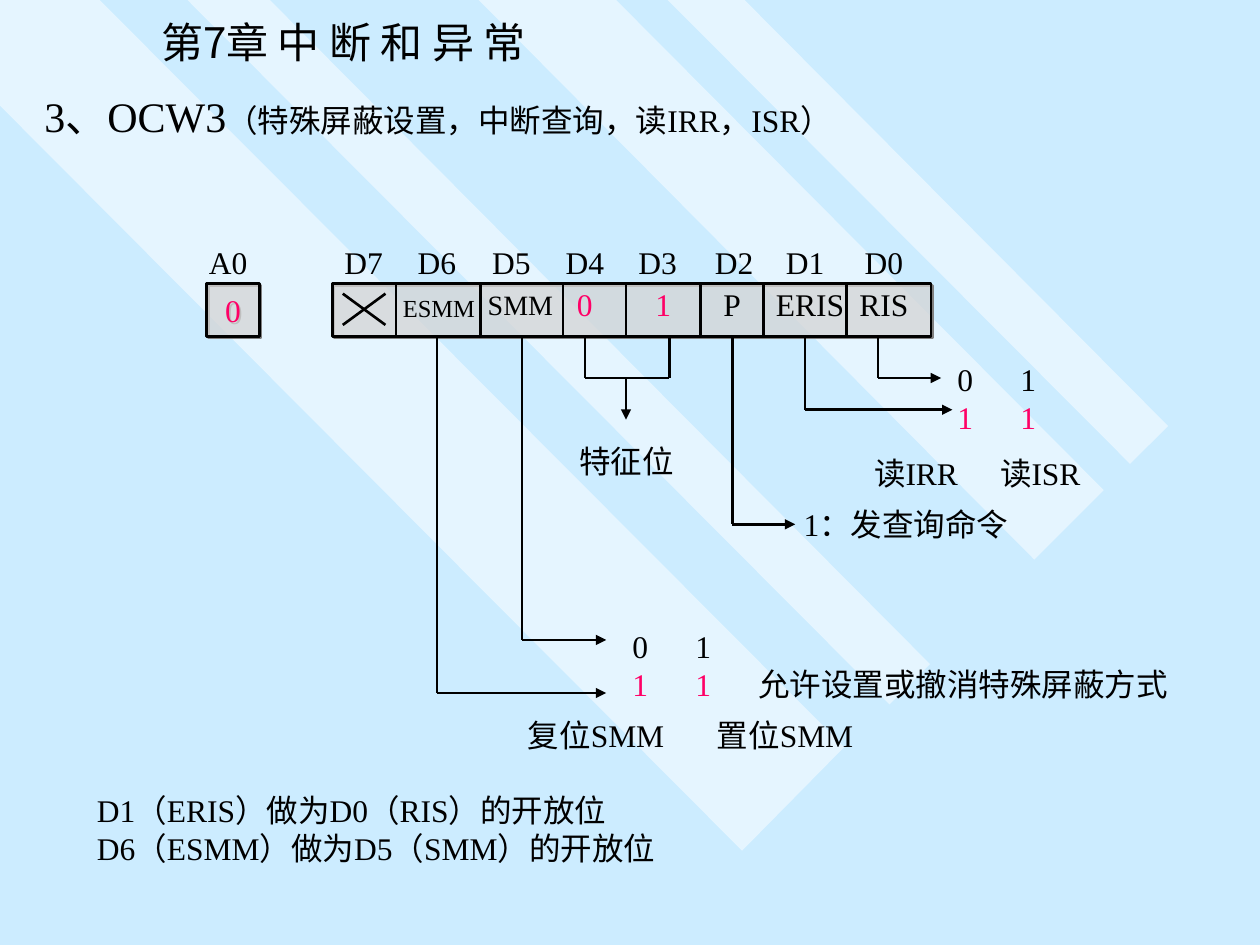
import dataclasses

import pptx
import pptx.dml.color
import pptx.enum.shapes
import pptx.enum.text
import pptx.oxml.ns
import pptx.util
from lxml import etree
from pptx.util import Cm


@dataclasses.dataclass(frozen=True)
class Theme:
    background: str = "CCECFF"
    white: str = "FFFFFF"
    ink: str = "000000"
    accent: str = "FF0066"
    shadow: str = "808080"
    latin: str = "Times New Roman"
    chinese: str = "Noto Sans CJK SC"
    heading: int = 24
    body: int = 18
    label: int = 16
    small: int = 14
    line: float = 1.5


theme = Theme()
color = pptx.dml.color.RGBColor.from_string
qn = pptx.oxml.ns.qn
LEFT = pptx.enum.text.PP_ALIGN.LEFT
CENTER = pptx.enum.text.PP_ALIGN.CENTER


def write(shape, lines, size=theme.body, align=LEFT, tabs=(), latin=theme.latin, wrap=True):
    frame = shape.text_frame
    frame.word_wrap = wrap
    frame.auto_size = pptx.enum.text.MSO_AUTO_SIZE.NONE
    frame.vertical_anchor = pptx.enum.text.MSO_ANCHOR.MIDDLE
    for index, (text, ink) in enumerate(lines):
        paragraph = frame.paragraphs[0] if index == 0 else frame.add_paragraph()
        paragraph.add_run().text = text
        paragraph.alignment = align
        paragraph.space_before = pptx.util.Pt(0)
        properties = paragraph._p.get_or_add_pPr()
        properties.set("marL", "0")
        properties.set("indent", "0")
        etree.SubElement(properties, qn("a:buNone"))
        if tabs:
            tab_list = etree.SubElement(properties, qn("a:tabLst"))
            for position in tabs:
                etree.SubElement(tab_list, qn("a:tab"), pos=str(Cm(position)), algn="l")
        paragraph.font.size = pptx.util.Pt(size)
        paragraph.font.color.rgb = color(ink)
        paragraph.font.name = latin
        etree.SubElement(paragraph.font._rPr, qn("a:ea"), typeface=theme.chinese)
    return frame


def draw_line(x1, y1, x2, y2, arrow=False):
    connector = slide.shapes.add_connector(
        pptx.enum.shapes.MSO_CONNECTOR.STRAIGHT, Cm(x1), Cm(y1), Cm(x2), Cm(y2))
    connector.line.color.rgb = color(theme.ink)
    connector.line.width = pptx.util.Pt(theme.line)
    if arrow:
        etree.SubElement(connector.line._get_or_add_ln(), qn("a:tailEnd"), type="triangle")
    etree.SubElement(connector._element.spPr, qn("a:effectLst"))


presentation = pptx.Presentation()
presentation.slide_width = Cm(25.4)
presentation.slide_height = Cm(19.05)
slide = presentation.slides.add_slide(presentation.slide_layouts[1])
slide.background.fill.solid()
slide.background.fill.fore_color.rgb = color(theme.background)

stripes = [
    [(17.02, 15.06), (2.01, 0), (0, 0), (0, 2.13), (14.96, 17.15)],
    [(5.44, 0), (18.75, 13.39), (17.93, 14.2), (3.78, 0)],
    [(12.42, 0), (22.25, 9.88), (20.85, 11.28), (9.65, 0)],
    [(13.46, 0), (22.78, 9.35), (23.55, 8.59), (15.01, 0)],
]
translucent = []
for index, points in enumerate(stripes):
    corners = [(Cm(x), Cm(y)) for x, y in points]
    builder = slide.shapes.build_freeform(*corners[0])
    builder.add_line_segments(corners[1:], close=True)
    stripe = builder.convert_to_shape()
    stripe.line.fill.background()
    stripe.shadow.inherit = False
    slide.shapes._spTree.insert(2 + index, stripe._element)
    translucent.append(stripe)

register_top, register_bottom = 5.72, 6.78
for left, width in [(4.17, 1.06), (6.7, 12.07)]:
    box = slide.shapes.add_shape(
        pptx.enum.shapes.MSO_SHAPE.RECTANGLE,
        Cm(left), Cm(register_top), Cm(width), Cm(register_bottom - register_top))
    box.line.color.rgb = color(theme.ink)
    box.line.width = pptx.util.Pt(theme.line)
    box.shadow.inherit = False
    effects = box._element.spPr.find(qn("a:effectLst"))
    shadow = etree.SubElement(effects, qn("a:outerShdw"), dist="17780", dir="2700000", algn="ctr")
    etree.SubElement(shadow, qn("a:srgbClr"), val=theme.shadow)
    translucent.append(box)
    if width < 2:
        write(box, [("0", theme.accent)], align=CENTER, wrap=False)

for shape in translucent:
    shape.fill.solid()
    shape.fill.fore_color.rgb = color(theme.white)
    fill_color = shape._element.spPr.find(qn("a:solidFill"))[0]
    etree.SubElement(fill_color, qn("a:alpha"), val="50000")

for x in [7.98, 9.68, 11.35, 12.62, 14.12, 15.39, 17.07]:
    draw_line(x, register_top, x, register_bottom)
draw_line(7.77, 5.92, 6.91, 6.55)
draw_line(6.91, 5.92, 7.77, 6.55)

bit_labels = [("A0", 4.6), ("D7", 7.33), ("D6", 8.81), ("D5", 10.31), ("D4", 11.79),
              ("D3", 13.26), ("D2", 14.8), ("D1", 16.23), ("D0", 17.82)]
cells = [(text, x, 5.28, theme.body, theme.ink) for text, x in bit_labels] + [
    ("ESMM", 8.85, 6.2, theme.small, theme.ink),
    ("SMM", 10.49, 6.14, theme.label, theme.ink),
    ("0", 11.79, 6.12, theme.body, theme.accent),
    ("1", 13.37, 6.12, theme.body, theme.accent),
    ("P", 14.76, 6.12, theme.body, theme.ink),
    ("ERIS", 16.33, 6.12, theme.body, theme.ink),
    ("RIS", 17.82, 6.12, theme.body, theme.ink),
]
cell_width, cell_height = 2.4, 1.02
for text, x, y, size, ink in cells:
    label = slide.shapes.add_textbox(
        Cm(x - cell_width / 2), Cm(y - cell_height / 2), Cm(cell_width), Cm(cell_height))
    write(label, [(text, ink)], size, CENTER)

for x, y, end in [(17.7, 7.62, 18.97), (16.23, 8.26, 19.2), (14.76, 10.57, 16.03),
                  (10.52, 12.9, 12.22), (8.81, 13.97, 12.22)]:
    draw_line(x, register_bottom, x, y)
    draw_line(x, y, end, y, arrow=True)
for x in [11.79, 13.49]:
    draw_line(x, register_bottom, x, 7.62)
draw_line(11.79, 7.62, 13.49, 7.62)
draw_line(12.62, 7.62, 12.62, 8.46, arrow=True)

notes = [
    (19.05, 7.14, 4.2, 1.78, [("0\t1", theme.ink), ("1\t1", theme.accent)], [1.91]),
    (17.37, 9.02, 6, 1.02, [("读IRR\t读ISR", theme.ink)], [2.48]),
    (15.95, 10.06, 5.2, 1.02, [("1：发查询命令", theme.ink)], []),
    (11.43, 8.79, 2.6, 1.02, [("特征位", theme.ink)], []),
    (12.5, 12.52, 12.8, 1.78, [("0\t1", theme.ink), ("1\t1\t", theme.accent)], [2.38, 3.64]),
    (10.39, 14.3, 8, 1.02, [("复位SMM\t置位SMM", theme.ink)], [4.01]),
]
for left, top, width, height, lines, tabs in notes:
    note = slide.shapes.add_textbox(Cm(left), Cm(top), Cm(width), Cm(height))
    frame = write(note, lines, tabs=tabs)
    if len(tabs) == 2:
        mode = frame.paragraphs[1].add_run()
        mode.text = "允许设置或撤消特殊屏蔽方式"
        mode.font.color.rgb = color(theme.ink)

chapter = slide.shapes.add_textbox(Cm(3), Cm(0.2), Cm(10), Cm(1.27))
write(chapter, [("第7章 中 断 和 异 常", theme.ink)], theme.heading, latin=theme.chinese)

title = slide.shapes.title
title.left, title.top, title.width, title.height = Cm(0.64), Cm(1.7), Cm(22.15), Cm(1.27)
frame = write(title, [("3、OCW3", theme.ink)], theme.heading)
subtitle = frame.paragraphs[0].add_run()
subtitle.text = "（特殊屏蔽设置，中断查询，读IRR，ISR）"
subtitle.font.size = pptx.util.Pt(theme.body)

body = slide.placeholders[1]
body.left, body.top, body.width, body.height = Cm(1.7), Cm(15.82), Cm(14.12), Cm(1.78)
write(body, [("D1（ERIS）做为D0（RIS）的开放位", theme.ink),
             ("D6（ESMM）做为D5（SMM）的开放位", theme.ink)])

presentation.save("out.pptx")
